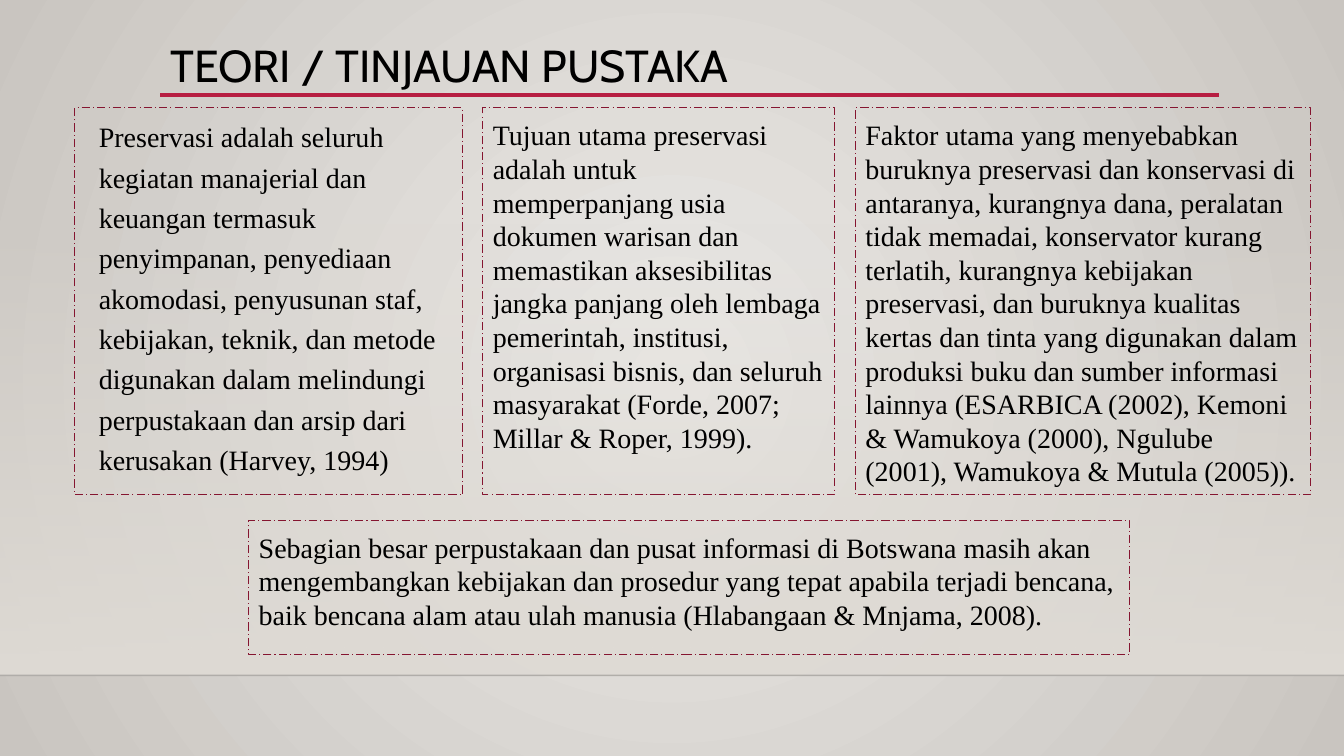
import pptx
import pptx.util
import pptx.oxml
import pptx.oxml.ns
import pptx.dml.color
import pptx.enum.dml
import pptx.enum.shapes
import pptx.enum.text
import lxml.etree

Cm, Pt = pptx.util.Cm, pptx.util.Pt
qn = pptx.oxml.ns.qn
TOP = pptx.enum.text.MSO_ANCHOR.TOP
LEFT = pptx.enum.text.PP_ALIGN.LEFT
RECT = pptx.enum.shapes.MSO_SHAPE.RECTANGLE
INK = {"text": "000000", "rule": "B71E42", "frame": "851530", "edge": "000001",
       "glow": "EBE9E6", "rim": "C9C5C0", "wall": "DFDBD5"}
COLOR = {name: pptx.dml.color.RGBColor.from_string(code) for name, code in INK.items()}


def fade(color, part):
    tag = color.find(".//" + qn("a:srgbClr"))
    lxml.etree.SubElement(tag, qn("a:alpha"), val=str(part * 1000))


def write(shape, text, font, size, space, pad, indent):
    frame = shape.text_frame
    frame.text = text
    frame.word_wrap = True
    frame.auto_size = pptx.enum.text.MSO_AUTO_SIZE.NONE
    frame.vertical_anchor = TOP
    frame.margin_left = frame.margin_right = Cm(0.25)
    frame.margin_top = frame.margin_bottom = Cm(pad)
    para = frame.paragraphs[0]
    para.alignment = LEFT
    para.line_spacing = space
    para.space_before = para.space_after = Pt(0)
    props = para._p.get_or_add_pPr()
    props.set("marL", str(Cm(indent)))
    props.set("indent", "0")
    run = para.runs[0].font
    run.name, run.size = font, Pt(size)
    run.color.rgb = COLOR["text"]


deck = pptx.Presentation()
deck.slide_width, deck.slide_height = Cm(33.87), Cm(19.05)
slide = deck.slides.add_slide(deck.slide_layouts[5])
shapes = slide.shapes

back = slide.background.fill
back.gradient()
for stop, name in zip(back.gradient_stops, ("glow", "rim")):
    stop.color.rgb = COLOR[name]
for stop, place in zip(back.gradient_stops, (0, 1)):
    stop.position = place
grad = slide._element.find(".//" + qn("p:bgPr") + "/" + qn("a:gradFill"))
grad.remove(grad.find(qn("a:lin")))
route = lxml.etree.SubElement(grad, qn("a:path"), {"path": "circle"})
lxml.etree.SubElement(route, qn("a:fillToRect"), {side: "50000" for side in "ltrb"})

wall = shapes.add_shape(RECT, 0, Cm(5.61), deck.slide_width, Cm(11.41))
wall.shadow.inherit = False
wall.line.fill.background()
wall.fill.gradient()
wall.fill.gradient_angle = 270
for place, stop in enumerate(wall.fill.gradient_stops):
    stop.color.rgb = COLOR["wall"]
    stop.position = place
fade(wall._element.find(".//" + qn("a:gs")), 0)

for start, end, top, name, width in ((0, 33.87, 17.02, "edge", 1),
                                     (4.04, 30.73, 2.39, "rule", 2.5)):
    line = shapes.add_connector(pptx.enum.shapes.MSO_CONNECTOR.STRAIGHT,
                                Cm(start), Cm(top), Cm(end), Cm(top))
    line.line.color.rgb = COLOR[name]
    line.line.width = Pt(width)
    if name == "edge":
        fade(line._element, 20)
    lxml.etree.SubElement(line._element.spPr, qn("a:effectLst"))

title = shapes.title
title.left, title.top, title.width, title.height = Cm(4.04), Cm(0.97), Cm(26.67), Cm(2.92)
write(title, "TEORI / TINJAUAN PUSTAKA", "Cabin", 32, 0.9, 0.13, 0)

upper, lower = (2.72, 9.75), (13.11, 3.38)
boxes = (
    (1.88, 9.78, upper, 1.2, 0.13, 0.36,
     "Preservasi adalah seluruh kegiatan manajerial dan keuangan termasuk penyimpanan, "
     "penyediaan akomodasi, penyusunan staf, kebijakan, teknik, dan metode digunakan dalam "
     "melindungi perpustakaan dan arsip dari kerusakan (Harvey, 1994)"),
    (12.17, 8.86, upper, 1.0, 0.25, 0,
     "Tujuan utama preservasi adalah untuk memperpanjang usia dokumen warisan dan memastikan "
     "aksesibilitas jangka panjang oleh lembaga pemerintah, institusi, organisasi bisnis, dan "
     "seluruh masyarakat (Forde, 2007; Millar & Roper, 1999)."),
    (21.56, 11.46, upper, 1.0, 0.25, 0,
     "Faktor utama yang menyebabkan buruknya preservasi dan konservasi di antaranya, kurangnya "
     "dana, peralatan tidak memadai, konservator kurang terlatih, kurangnya kebijakan "
     "preservasi, dan buruknya kualitas kertas dan tinta yang digunakan dalam produksi buku "
     "dan sumber informasi lainnya (ESARBICA (2002), Kemoni & Wamukoya (2000), Ngulube (2001), "
     "Wamukoya & Mutula (2005))."),
    (6.27, 22.2, lower, 1.0, 0.25, 0,
     "Sebagian besar perpustakaan dan pusat informasi di Botswana masih akan mengembangkan "
     "kebijakan dan prosedur yang tepat apabila terjadi bencana, baik bencana alam atau ulah "
     "manusia (Hlabangaan & Mnjama, 2008)."),
)
for left, width, (top, height), space, pad, indent, text in boxes:
    box = shapes.add_shape(RECT, Cm(left), Cm(top), Cm(width), Cm(height))
    box.shadow.inherit = False
    box.fill.background()
    box.line.color.rgb = COLOR["frame"]
    box.line.width = Pt(0.75)
    box.line.dash_style = pptx.enum.dml.MSO_LINE.LONG_DASH_DOT
    write(box, text, "Times New Roman", 20, space, pad, indent)

deck.save("out.pptx")
